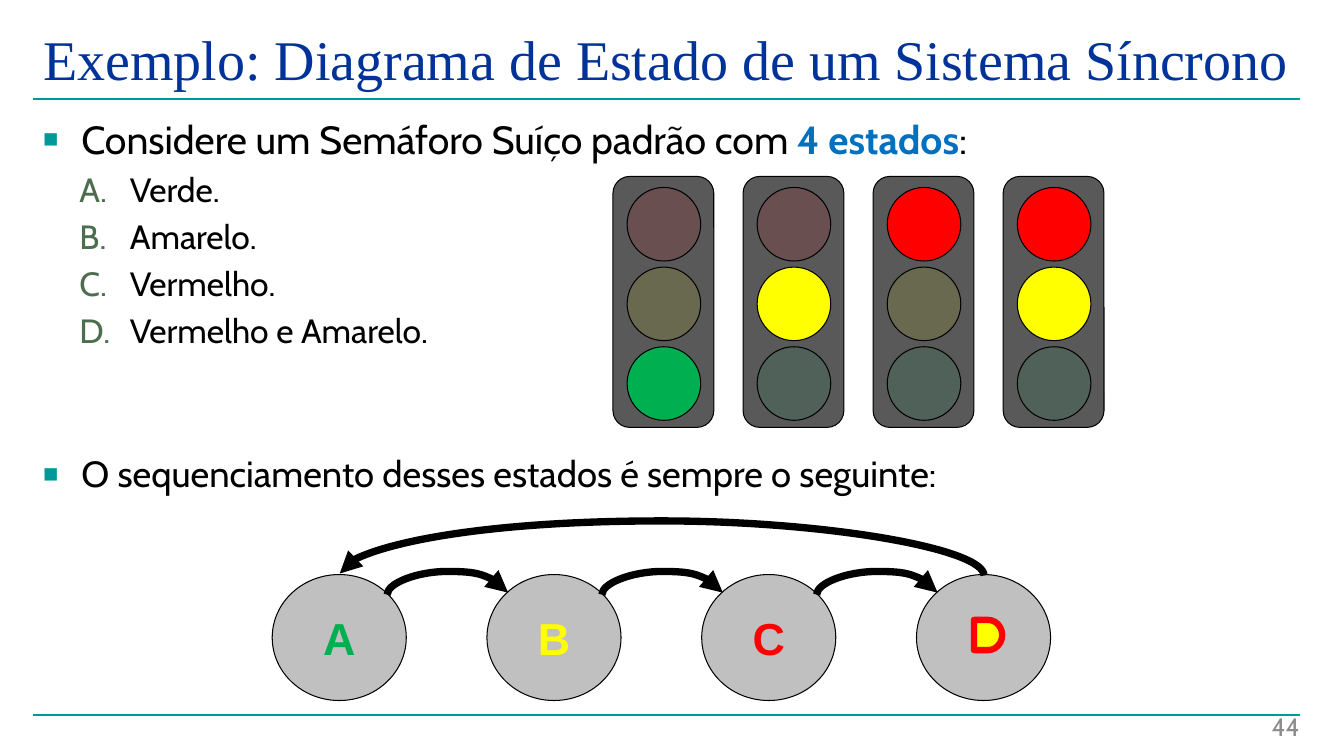
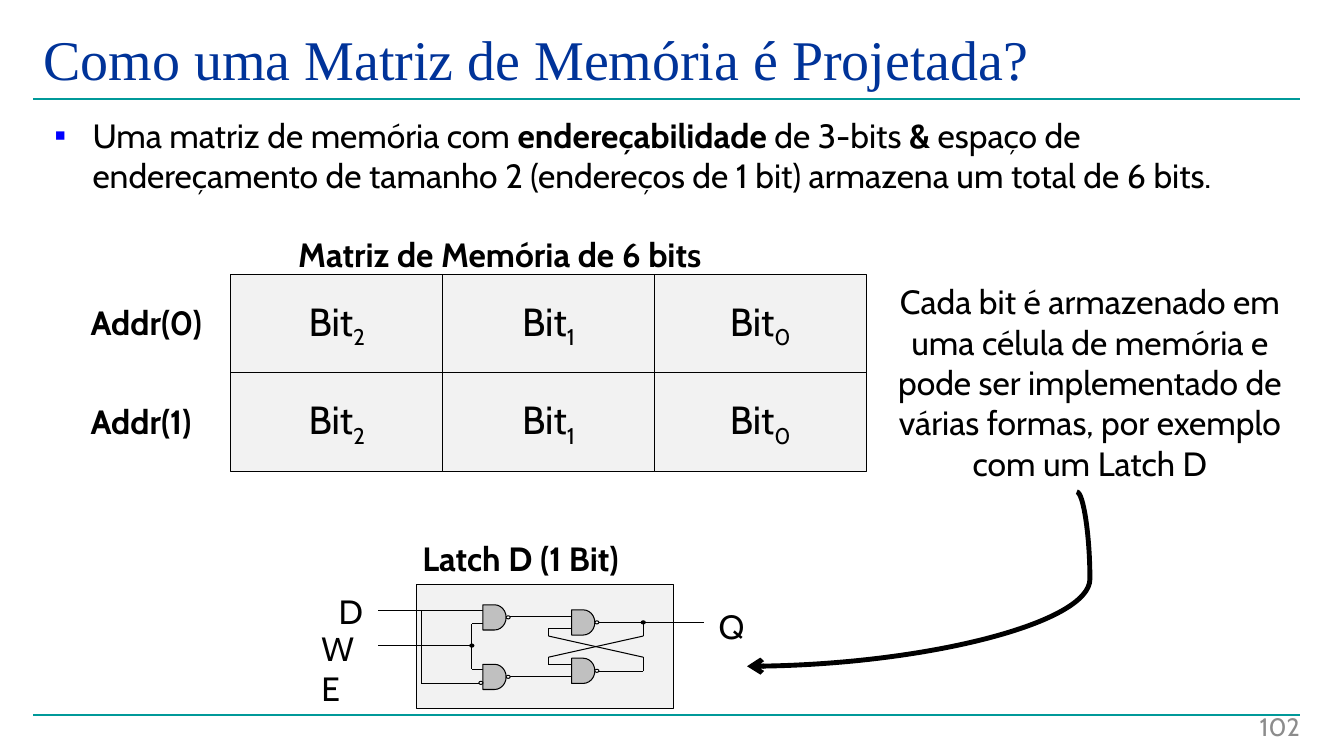
import itertools

import lxml.etree
import pptx
import pptx.dml.color
import pptx.enum.shapes
import pptx.enum.text
import pptx.oxml.ns
import pptx.util

Inches = pptx.util.Inches
Pt = pptx.util.Pt
qn = pptx.oxml.ns.qn
SHAPE = pptx.enum.shapes.MSO_SHAPE
CONNECTOR = pptx.enum.shapes.MSO_CONNECTOR
ALIGN = pptx.enum.text.PP_ALIGN
ANCHOR = pptx.enum.text.MSO_ANCHOR

COLORS = {
    "title": "003399", "rule": "009999", "number": "8C8C8C", "text": "000000",
    "white": "FFFFFF", "accent": "0070C0", "letter": "4C6D4E", "bullet": "0000FF",
    "housing": "595959", "gray": "C0C0C0", "pale": "F2F2F2",
    "red": "FF0000", "yellow": "FFFF00", "green": "00B050",
}


def rgb(name):
    return pptx.dml.color.RGBColor.from_string(COLORS[name])


def add_xml(parent, tag, **attributes):
    return lxml.etree.SubElement(parent, qn(tag), **attributes)


class Deck:
    """Shared style and the slide being built."""

    font = "Cabin"
    title_font = "Times New Roman"

    def __init__(self):
        self.prs = pptx.Presentation()
        self.prs.slide_width = Inches(13.33)
        self.prs.slide_height = Inches(7.5)
        self.slide = None

    def new_slide(self, title, number):
        self.slide = self.prs.slides.add_slide(self.prs.slide_layouts[5])
        heading = self.slide.shapes.title
        heading.left, heading.top = Inches(0.33), Inches(0.17)
        heading.width, heading.height = Inches(12.56), Inches(0.82)
        frame = heading.text_frame
        frame.word_wrap = True
        frame.auto_size = pptx.enum.text.MSO_AUTO_SIZE.NONE
        frame.vertical_anchor = ANCHOR.MIDDLE
        self.fill_paragraph(frame.paragraphs[0], title, 40, "title",
                            font=self.title_font)
        for y in (0.98, 7.09):
            self.line((0.33, y), (12.89, y), "rule", 1.5)
        self.text((9.88, 6.91, 3.11, 0.5), str(number), 18, "number",
                  align=ALIGN.RIGHT, anchor=ANCHOR.BOTTOM)

    def fill_paragraph(self, paragraph, runs, size, color="text", bold=False,
                       align=ALIGN.LEFT, font=None):
        """Fill a paragraph from a string or from (text, overrides) pairs."""
        paragraph.alignment = align
        style = paragraph.font
        style.name, style.size, style.bold = font or self.font, Pt(size), bold
        style.color.rgb = rgb(color)
        for words, change in [(runs, {})] if isinstance(runs, str) else runs:
            run = paragraph.add_run()
            run.text = words
            if "bold" in change:
                run.font.bold = change["bold"]
            if "color" in change:
                run.font.color.rgb = rgb(change["color"])
            if "baseline" in change:
                run.font._element.set("baseline", str(change["baseline"] * 1000))

    def text_frame(self, box, anchor=ANCHOR.TOP, wrap=True):
        frame = self.slide.shapes.add_textbox(*map(Inches, box)).text_frame
        frame.word_wrap = wrap
        frame.vertical_anchor = anchor
        return frame

    def text(self, box, runs, size=24, color="text", bold=False,
             align=ALIGN.LEFT, anchor=ANCHOR.TOP, wrap=True):
        frame = self.text_frame(box, anchor, wrap)
        self.fill_paragraph(frame.paragraphs[0], runs, size, color, bold, align)

    def label(self, box, words, bold=True):
        self.text(box, words, bold=bold, wrap=False)

    def bullets(self, box, items):
        """Items: (runs, size, space before, (sign, colour, percent), indent, hang)."""
        frame = self.text_frame(box)
        for i, (runs, size, gap, mark, indent, hang) in enumerate(items):
            paragraph = frame.add_paragraph() if i else frame.paragraphs[0]
            sign, color, percent = mark
            ppr = paragraph._p.get_or_add_pPr()
            ppr.set("marL", str(Inches(indent)))
            ppr.set("indent", str(-Inches(hang)))
            add_xml(add_xml(ppr, "a:buClr"), "a:srgbClr", val=COLORS[color])
            add_xml(ppr, "a:buSzPct", val=str(percent * 1000))
            if sign == "A.":
                add_xml(ppr, "a:buAutoNum", type="alphaUcPeriod")
            else:
                add_xml(ppr, "a:buFont", typeface="Arial")
                add_xml(ppr, "a:buChar", char=sign)
            if gap:
                paragraph.space_before = Pt(gap)
            self.fill_paragraph(paragraph, runs, size)

    def shape(self, kind, box, fill, line="text", weight=0.75, alpha=None):
        shape = self.slide.shapes.add_shape(kind, *map(Inches, box))
        shape.shadow.inherit = False
        shape.fill.solid()
        shape.fill.fore_color.rgb = rgb(fill)
        if alpha is not None:
            tint = shape.element.spPr.find(qn("a:solidFill")).find(qn("a:srgbClr"))
            add_xml(tint, "a:alpha", val=str(alpha * 1000))
        shape.line.color.rgb = rgb(line)
        shape.line.width = Pt(weight)
        return shape

    def caption(self, shape, runs, size, **style):
        shape.text_frame.vertical_anchor = ANCHOR.MIDDLE
        self.fill_paragraph(shape.text_frame.paragraphs[0], runs, size,
                            align=ALIGN.CENTER, **style)

    def line(self, start, end, color="text", weight=0.75, kind=CONNECTOR.STRAIGHT):
        link = self.slide.shapes.add_connector(kind, *map(Inches, (*start, *end)))
        link.line.color.rgb = rgb(color)
        link.line.width = Pt(weight)
        add_xml(link.element.spPr, "a:effectLst")
        return link

    def curve(self, start, end, bend, weight, head):
        """Curved arrow; bend is the middle's place as a share of the width."""
        link = self.line(start, end, weight=weight, kind=CONNECTOR.CURVE)
        guides = link.element.spPr.find(qn("a:prstGeom")).find(qn("a:avLst"))
        add_xml(guides, "a:gd", name="adj1", fmla=f"val {round(bend * 100000)}")
        add_xml(link.element.spPr.find(qn("a:ln")), "a:tailEnd", type=head)
        return link

    def arc(self, start, end, height):
        """Arrow that leaves upward, crosses over and comes down on its end."""
        (x1, y1), (x2, y2) = start, end
        middle_x, middle_y = (x1 + x2) / 2, (y1 + y2) / 2
        rise, span = y1 - y2, abs(x2 - x1)
        side = 1 if x2 > x1 else -1
        link = self.curve((middle_x + side * rise / 2, middle_y + span / 2),
                          (middle_x - side * rise / 2, middle_y - span / 2),
                          height / rise, 5.25, "triangle")
        turn = 90 if side > 0 else 270
        link.element.spPr.find(qn("a:xfrm")).set("rot", str(turn * 60000))

    def wire(self, *points):
        for start, end in itertools.pairwise(points):
            self.line(start, end)

    def dot(self, x, y, fill="white"):
        self.shape(SHAPE.OVAL, (x, y, 0.04, 0.03), fill)


def traffic_light_slide(deck):
    deck.new_slide("Exemplo: Diagrama de Estado de um Sistema Síncrono", 44)
    states = ["Verde.", "Amarelo.", "Vermelho.", "Vermelho e Amarelo."]
    intro = [("Considere um Semáforo Suíço padrão com ", {}),
             ("4 estados", {"bold": True, "color": "accent"}), (":", {})]
    deck.bullets((0.33, 1.09, 12.56, 5.98), [
        (intro, 28, 0, ("■", "rule", 65), 0.38, 0.38),
        *[(state, 24, 4.8, ("A.", "letter", 100), 0.86, 0.5) for state in states],
        ("O sequenciamento desses estados é sempre o seguinte:", 26, 72.4,
         ("■", "rule", 70), 0.38, 0.38),
    ])

    # Traffic lights, one per state
    lit_lamps = [{"green"}, {"yellow"}, {"red"}, {"red", "yellow"}]
    for i, lit in enumerate(lit_lamps):
        x = 6.08 + 1.29 * i
        deck.shape(SHAPE.ROUNDED_RECTANGLE, (x, 1.75, 1, 2.49), "housing")
        for row, lamp in enumerate(("red", "yellow", "green")):
            deck.shape(SHAPE.OVAL, (x + 0.14, 1.86 + 0.79 * row, 0.73, 0.73),
                       lamp, alpha=None if lamp in lit else 10)

    # State circles; the last letter is a two-coloured outline
    node_x = [2.7 + 2.13 * i for i in range(4)]
    nodes = [deck.shape(SHAPE.OVAL, (x, 5.7, 1.33, 1.25), "gray") for x in node_x]
    for node, letter, color in zip(nodes, "ABC", ("green", "yellow", "red")):
        deck.caption(node, letter, 32, color=color, bold=True, font="Arial")
    deck.shape(SHAPE.FLOWCHART_DELAY, (9.66, 6.15, 0.28, 0.3), "yellow", "red", 4.5)

    # Transitions
    for here, following in itertools.pairwise(node_x):
        deck.arc((here + 1.14, 5.9), (following + 0.21, 5.88), 0.23)
    deck.arc((9.76, 5.71), (3.37, 5.69), 0.54)


def memory_slide(deck):
    deck.new_slide("Como uma Matriz de Memória é Projetada?", 102)
    strong = {"bold": True}
    intro = [("Uma matriz de memória com", {}), (" endereçabilidade", strong),
             (" de 3-bits ", {}), ("&", strong),
             (" espaço de endereçamento de tamanho 2 (endereços de 1 bit) "
              "armazena um total de 6 bits.", {})]
    deck.bullets((0.44, 1.09, 12.44, 0.91),
                 [(intro, 24, 0, ("▪", "bullet", 100), 0.38, 0.38)])

    # Memory array
    deck.label((2.86, 2.27, 4.9, 0.5), "Matriz de Memória de 6 bits")
    for row in range(2):
        y = 2.72 + 0.98 * row
        deck.label((0.8, y + 0.23, 1.52, 0.5), f"Addr({row})")
        for column in range(3):
            cell = deck.shape(SHAPE.RECTANGLE, (2.29 + 2.1 * column, y, 2.1, 0.98),
                              "pale")
            deck.caption(cell, [("Bit", {}), (str(2 - column), {"baseline": -25})], 28)

    # Explanation and its arrow to the latch
    deck.text((8.56, 2.74, 4.5, 2.12),
              "Cada bit é armazenado em uma célula de memória e pode ser "
              "implementado de várias formas, por exemplo com um Latch D",
              align=ALIGN.CENTER)
    deck.curve((10.68, 4.88), (7.41, 6.61), -0.04, 3.5, "arrow")

    # Latch: body and wires
    deck.label((4.09, 5.29, 2.41, 0.46), "Latch D (1 Bit)")
    deck.shape(SHAPE.RECTANGLE, (4.13, 5.8, 2.55, 1.23), "pale")
    deck.wire((3.75, 6.06), (4.79, 6.06))
    deck.wire((4.18, 6.06), (4.18, 6.78), (4.75, 6.78))
    deck.wire((3.75, 6.4), (4.66, 6.4))
    deck.wire((4.8, 6.19), (4.68, 6.19), (4.68, 6.64), (4.8, 6.64))
    deck.wire((5.05, 6.12), (5.67, 6.12))
    deck.wire((5.05, 6.71), (5.67, 6.71))
    deck.wire((5.94, 6.18), (6.98, 6.18))
    deck.wire((5.9, 6.66), (6.38, 6.66), (6.38, 6.52), (5.44, 6.31),
              (5.44, 6.24), (5.67, 6.24))
    deck.wire((6.38, 6.18), (6.38, 6.31), (5.44, 6.52), (5.44, 6.59), (5.67, 6.59))

    # Latch: gates with inverted outputs, inverted input, junctions
    for x, y in ((4.79, 6), (4.79, 6.59), (5.67, 6.05), (5.67, 6.53)):
        deck.shape(SHAPE.FLOWCHART_DELAY, (x, y, 0.23, 0.25), "gray")
        deck.dot(x + 0.23, y + 0.11)
    deck.dot(4.75, 6.76)
    deck.dot(4.66, 6.39, "text")
    deck.dot(6.36, 6.16, "text")

    # Latch: signal names
    deck.label((3.26, 5.81, 0.39, 0.46), "D", bold=False)
    deck.label((7.03, 5.96, 0.4, 0.46), "Q", bold=False)
    deck.text((3.09, 6.18, 0.64, 0.46), "WE")


def main():
    deck = Deck()
    traffic_light_slide(deck)
    memory_slide(deck)
    deck.prs.save("out.pptx")


if __name__ == "__main__":
    main()
